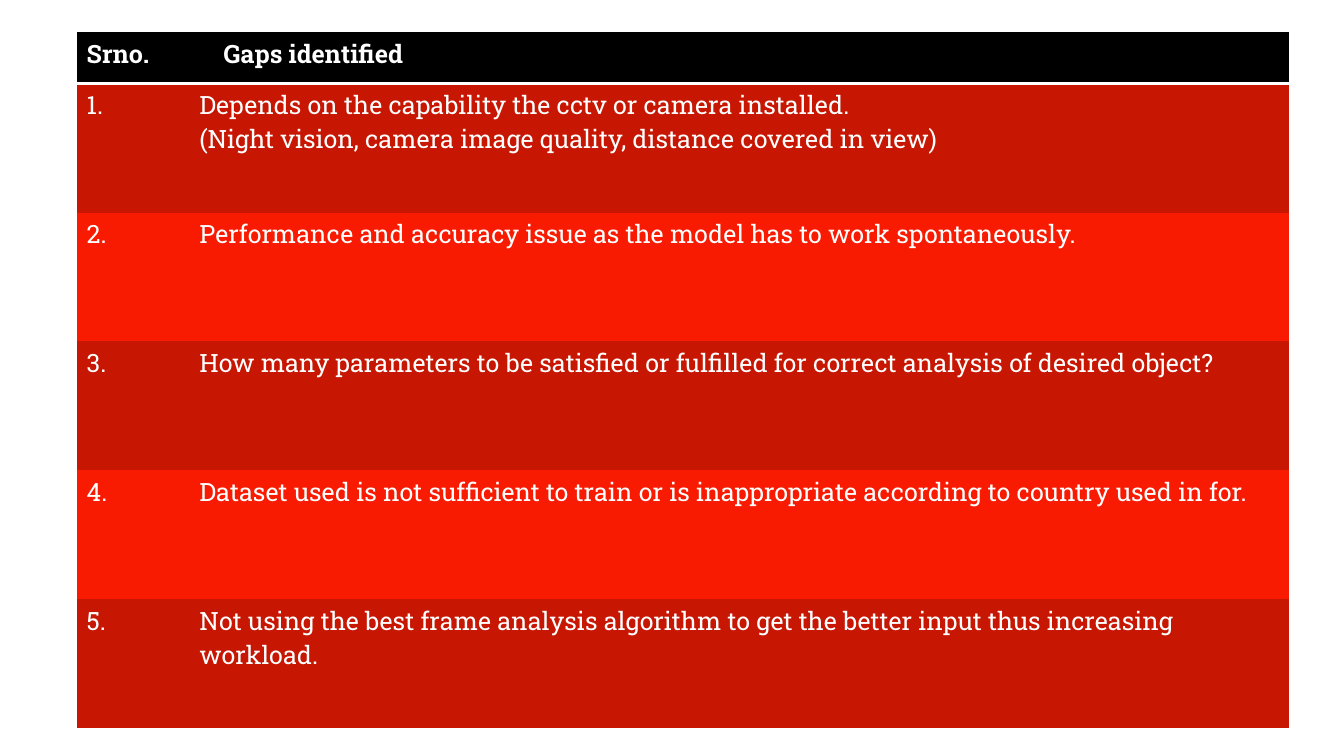
from dataclasses import dataclass

from lxml.etree import SubElement
from pptx import Presentation
from pptx.dml.color import RGBColor as RGB
from pptx.oxml import parse_xml
from pptx.oxml.ns import nsdecls, qn
from pptx.util import Pt

HEADER = ("Srno.", "Gaps identified")
GAPS = [
    ["Depends on the capability the cctv or camera installed.",
     "(Night vision, camera image quality, distance covered in view)"],
    ["Performance and accuracy issue as the model has to work spontaneously."],
    ["How many parameters to be satisfied or fulfilled for correct analysis of desired object?"],
    ["Dataset used is not sufficient to train or is inappropriate according to country used in for."],
    ["Not using the best frame analysis algorithm to get the better input thus increasing workload."],
]


@dataclass(frozen=True)
class Theme:
    font: str = "Roboto Slab"
    size: int = 18
    text: str = "FFFFFF"
    header: str = "000000"
    bands: tuple = ("C71602", "F81B02")
    rule: str = "FFFFFF"
    rule_width: int = 2
    plain_style: str = "{2D5ABB26-0587-4C30-8999-92F81FD0307C}"


THEME = Theme()
LEFT, TOP = 54.7, 23
COL_WIDTHS = (80.6, 785.5)
HEADER_HEIGHT, ROW_HEIGHT = 36.7, 92.15
HEADER_INDENT = 24.4


def fill_cell(cell, lines, color, bold=False):
    cell.fill.solid()
    cell.fill.fore_color.rgb = RGB.from_string(color)
    tf = cell.text_frame
    tf.text = "\n".join(lines)
    for p in tf.paragraphs:
        p.font.name = THEME.font
        p.font.size = Pt(THEME.size)
        p.font.bold = bold
        p.font.color.rgb = RGB.from_string(THEME.text)


def underline_cell(cell):
    ln = parse_xml(f'<a:lnB {nsdecls("a")} w="{Pt(THEME.rule_width)}"/>')
    solid = SubElement(ln, qn("a:solidFill"))
    SubElement(solid, qn("a:srgbClr"), val=THEME.rule)
    cell._tc.get_or_add_tcPr().insert(0, ln)


def main():
    prs = Presentation()
    prs.slide_width, prs.slide_height = Pt(960), Pt(540)
    s = prs.slides.add_slide(prs.slide_layouts[6])
    heights = [HEADER_HEIGHT] + [ROW_HEIGHT] * len(GAPS)
    frame = s.shapes.add_table(len(heights), len(COL_WIDTHS), Pt(LEFT), Pt(TOP),
                               Pt(sum(COL_WIDTHS)), Pt(sum(heights)))
    table = frame.table
    table.horz_banding = False
    table._tbl.tblPr.find(qn("a:tableStyleId")).text = THEME.plain_style
    for column, width in zip(table.columns, COL_WIDTHS):
        column.width = Pt(width)
    for row, height in zip(table.rows, heights):
        row.height = Pt(height)

    for col, label in enumerate(HEADER):
        cell = table.cell(0, col)
        fill_cell(cell, [label], THEME.header, bold=True)
        underline_cell(cell)
    table.cell(0, 1).margin_left = Pt(HEADER_INDENT)

    for number, lines in enumerate(GAPS, 1):
        color = THEME.bands[(number - 1) % len(THEME.bands)]
        fill_cell(table.cell(number, 0), [f"{number}."], color)
        fill_cell(table.cell(number, 1), lines, color)

    prs.save("out.pptx")


if __name__ == "__main__":
    main()
